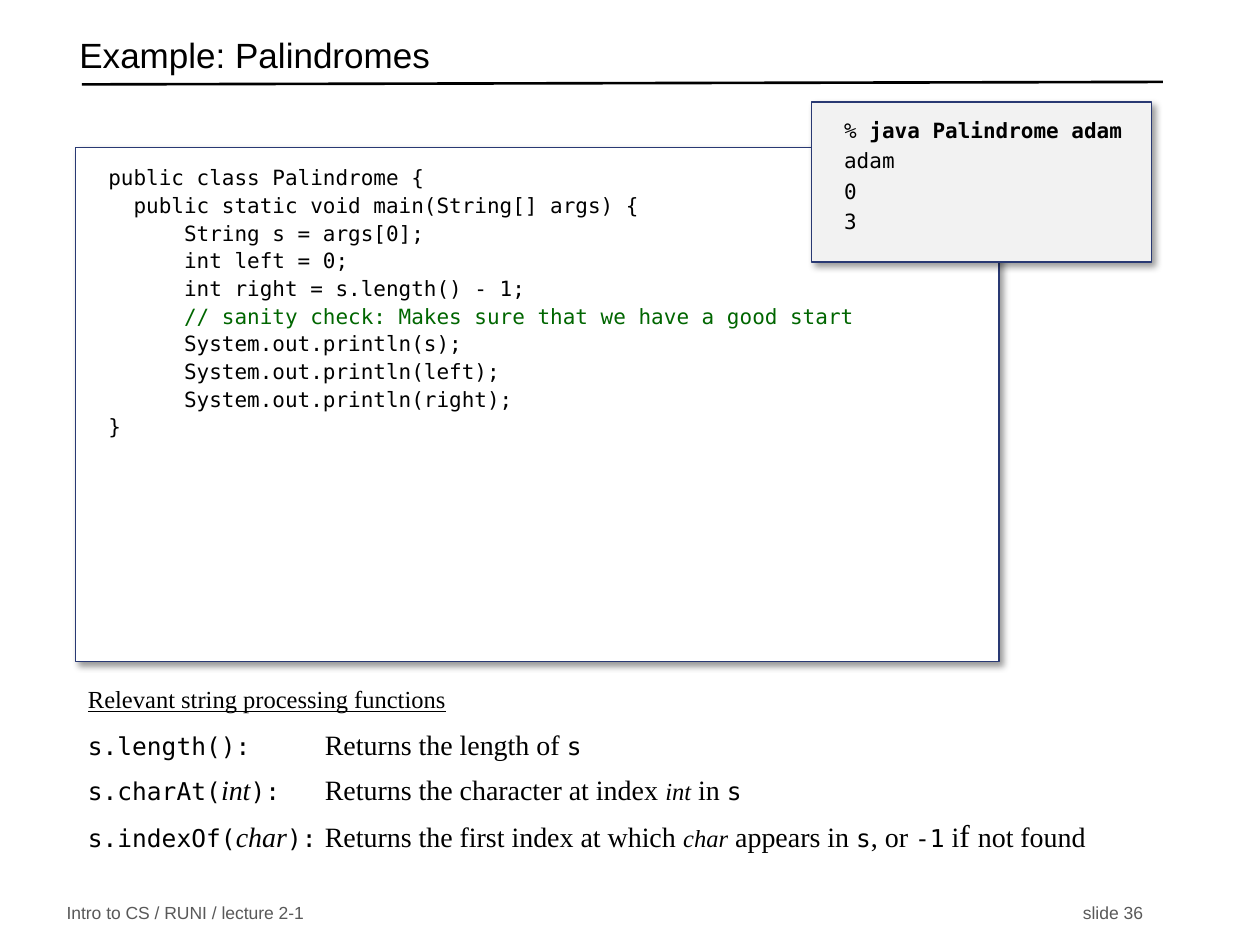
from dataclasses import dataclass

from lxml import etree
from pptx import Presentation
from pptx import util as u
from pptx.dml.color import RGBColor
from pptx.enum import shapes, text
from pptx.oxml import ns


@dataclass(frozen=True)
class Theme:
    sans: str = "Arial"
    serif: str = "Times New Roman"
    mono: str = "DejaVu Sans Mono"
    casual: str = "Comic Neue"
    ink: str = "000000"
    comment: str = "006600"
    muted: str = "595959"
    paper: str = "FFFFFF"
    console: str = "F2F2F2"
    border: str = "293973"
    title: int = 20
    large: int = 18
    body: int = 16
    term: int = 14
    code: int = 12
    footer: int = 10


THEME = Theme()


@dataclass(frozen=True)
class Area:
    left: float
    top: float
    width: float
    height: float

    def lengths(self) -> list:
        return [u.Inches(n) for n in (self.left, self.top, self.width, self.height)]


@dataclass(frozen=True)
class Span:
    text: str
    font: str = THEME.mono
    size: int = THEME.code
    color: str = THEME.ink
    bold: bool = False
    italic: bool = False
    underline: bool = False


def prose(words: str, size: int = THEME.body, **style) -> Span:
    return Span(words, THEME.serif, size, **style)


def term(words: str) -> Span:
    return Span(words, size=THEME.term)


def set_frame(frame, insets=(0.1, 0.05, 0.1, 0.05), anchor=text.MSO_ANCHOR.TOP) -> None:
    frame.word_wrap = True
    frame.auto_size = text.MSO_AUTO_SIZE.NONE
    frame.vertical_anchor = anchor
    (frame.margin_left, frame.margin_top,
     frame.margin_right, frame.margin_bottom) = [u.Inches(n) for n in insets]


def write(frame, lines: list[list[Span]], *, gap: float = 0, spacing=None,
          align=text.PP_ALIGN.LEFT, tab: float | None = None) -> None:
    for index, spans in enumerate(lines):
        para = frame.add_paragraph() if index else frame.paragraphs[0]
        para.alignment = align
        para.space_before = u.Pt(gap if index else 0)
        if spacing is not None:
            para.line_spacing = spacing
        if tab is not None:
            stops = etree.SubElement(para._p.get_or_add_pPr(), ns.qn("a:tabLst"))
            etree.SubElement(stops, ns.qn("a:tab"), pos=str(u.Inches(tab)), algn="l")
        for span in spans:
            run = para.add_run()
            run.text = span.text
            font = run.font
            font.name, font.size = span.font, u.Pt(span.size)
            font.bold, font.italic, font.underline = span.bold, span.italic, span.underline
            font.color.rgb = RGBColor.from_string(span.color)


def add_label(page, area: Area, lines: list[list[Span]],
              anchor=text.MSO_ANCHOR.TOP, **layout) -> None:
    box = page.shapes.add_textbox(*area.lengths())
    set_frame(box.text_frame, anchor=anchor)
    write(box.text_frame, lines, **layout)


def add_shadow(box) -> None:
    effects = etree.SubElement(box._element.spPr, ns.qn("a:effectLst"))
    shadow = etree.SubElement(effects, ns.qn("a:outerShdw"), blurRad=str(u.Pt(4)),
                              dist=str(u.Pt(3)), dir=str(45 * 60000),
                              algn="tl", rotWithShape="0")
    color = etree.SubElement(shadow, ns.qn("a:srgbClr"), val=THEME.ink)
    etree.SubElement(color, ns.qn("a:alpha"), val="40000")


def add_panel(page, area: Area, fill: str, lines: list[list[Span]],
              right_inset: float, **layout) -> None:
    box = page.shapes.add_shape(shapes.MSO_SHAPE.RECTANGLE, *area.lengths())
    box.fill.solid()
    box.fill.fore_color.rgb = RGBColor.from_string(fill)
    box.line.color.rgb = RGBColor.from_string(THEME.border)
    box.line.width = u.Pt(0.75)
    add_shadow(box)
    set_frame(box.text_frame, (0.26, 0.12, right_inset, 0.29))
    write(box.text_frame, lines, **layout)


def add_title(page, area: Area, words: str) -> None:
    title = page.shapes.title
    title.left, title.top, title.width, title.height = area.lengths()
    set_frame(title.text_frame, anchor=text.MSO_ANCHOR.MIDDLE)
    write(title.text_frame, [[Span(words, THEME.sans, THEME.title)]], spacing=0.7)


def add_rule(page) -> None:
    rule = page.shapes.add_connector(shapes.MSO_CONNECTOR.STRAIGHT, u.Inches(0.65),
                                     u.Inches(0.67), u.Inches(9.23), u.Inches(0.65))
    rule.line.color.rgb = RGBColor.from_string(THEME.ink)
    rule.line.width = u.Pt(1.5)
    etree.SubElement(rule._element.spPr, ns.qn("a:effectLst"))


CODE = """public class Palindrome {
  public static void main(String[] args) {
      String s = args[0];
      int left = 0;
      int right = s.length() - 1;
      // sanity check: Makes sure that we have a good start
      System.out.println(s);
      System.out.println(left);
      System.out.println(right);
}"""

CONSOLE = [
    [Span("% "), Span("java Palindrome adam", bold=True)],
    *[[Span(line)] for line in ("adam", "0", "3")],
]

TAB = Span("\t", THEME.casual, THEME.body)
FUNCTIONS = [
    [prose("Relevant string processing functions", THEME.term, underline=True)],
    [term("s.length():"), prose("\t", THEME.large),
     prose("Returns the length of "), term("s")],
    [term("s.charAt("), prose("int", italic=True), term("):"), TAB,
     prose("Returns the character at index "), prose("int", THEME.term, italic=True),
     prose(" in "), term("s")],
    [term("s.indexOf("), prose("char", italic=True), term("):"), TAB,
     prose("Returns the first index at which "), prose("char", THEME.term, italic=True),
     prose(" appears in "), term("s"), prose(", or "), term("-1"), prose(" i"),
     prose("f ", THEME.large), prose("not found")],
]

FOOTERS = [
    (Area(0.43, 7.14, 4, 0.21), "Intro to CS / RUNI / lecture 2-1", text.PP_ALIGN.LEFT),
    (Area(7.17, 7.14, 2, 0.21), "slide 36", text.PP_ALIGN.RIGHT),
]


def main() -> None:
    deck = Presentation()
    deck.slide_width, deck.slide_height = u.Inches(10), u.Inches(7.5)
    page = deck.slides.add_slide(deck.slide_layouts[5])
    add_rule(page)
    for area, words, align in FOOTERS:
        add_label(page, area, [[Span(words, THEME.sans, THEME.footer, THEME.muted)]],
                  anchor=text.MSO_ANCHOR.MIDDLE, align=align)
    code = [[Span(line, color=THEME.comment if "//" in line else THEME.ink)]
            for line in CODE.splitlines()]
    add_panel(page, Area(0.6, 1.17, 7.33, 4.08), THEME.paper, code, 0.18,
              spacing=u.Pt(15.8))
    add_title(page, Area(0.53, 0.22, 8.6, 0.5), "Example: Palindromes")
    add_label(page, Area(0.6, 5.38, 9.3, 1.17), FUNCTIONS, gap=6, tab=1.88)
    add_panel(page, Area(6.44, 0.81, 2.7, 1.27), THEME.console, CONSOLE, 0, gap=3)
    deck.save("out.pptx")


if __name__ == "__main__":
    main()
